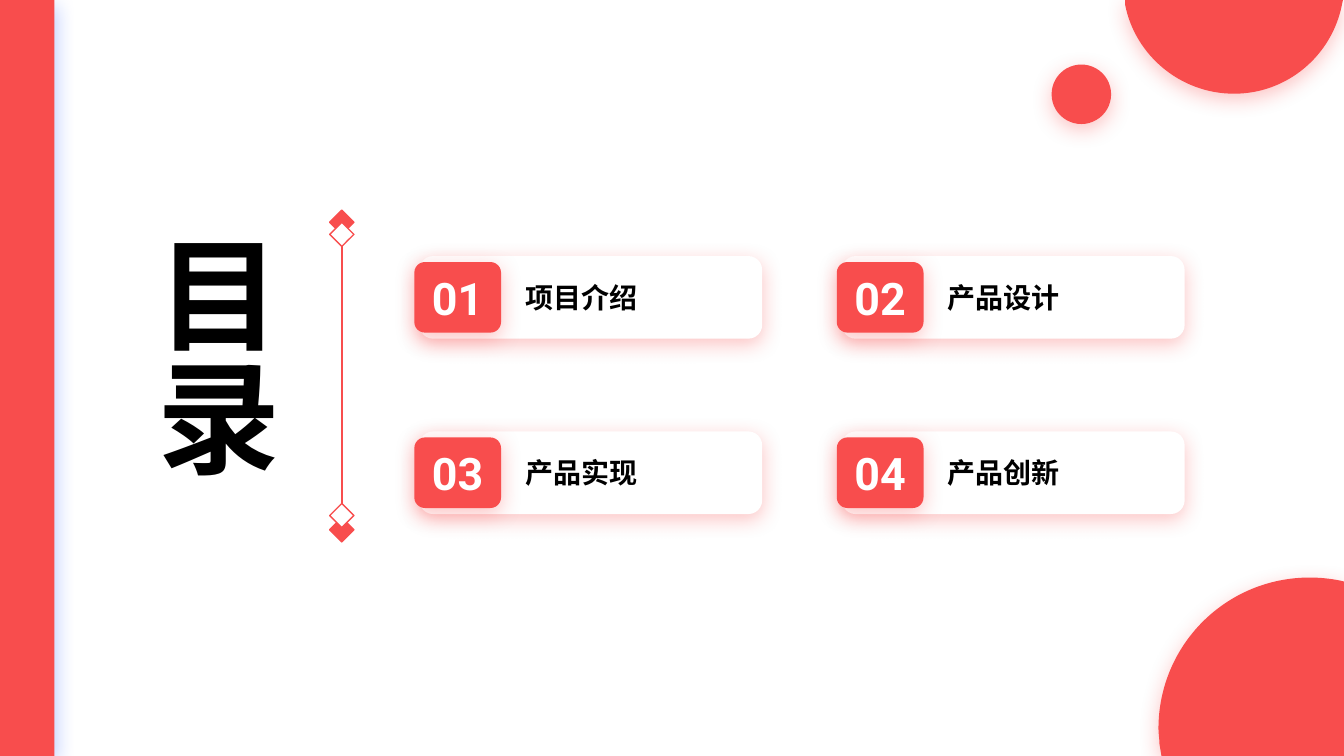
from itertools import chain

from lxml.etree import SubElement
from pptx import Presentation
from pptx.dml.color import RGBColor
from pptx.enum.shapes import MSO_CONNECTOR, MSO_SHAPE as SHAPE
from pptx.enum.text import MSO_ANCHOR as ANCHOR, MSO_AUTO_SIZE as AUTO, PP_ALIGN as ALIGN
from pptx.oxml.ns import qn
from pptx.util import Inches, Pt

CORAL = RGBColor(0xF8, 0x4D, 0x4D)
BLUE = RGBColor(0x20, 0x56, 0xFF)
WHITE = RGBColor(0xFF, 0xFF, 0xFF)
BLACK = RGBColor(0, 0, 0)
FONT = "Roboto"
WIDTH, HEIGHT = 13.33, 7.5


def paint(shape, fill=CORAL, outline=None, glow=CORAL):
    shape.fill.solid()
    shape.fill.fore_color.rgb = fill
    if outline is None:
        shape.line.fill.background()
    else:
        shape.line.color.rgb = outline
        shape.line.width = Pt(1)
    shape.shadow.inherit = False
    if glow is not None:
        effects = shape._element.spPr.find(qn("a:effectLst"))
        outer = SubElement(effects, qn("a:outerShdw"), blurRad=str(Pt(15)), dist=str(Pt(4)),
                           dir="5400000", algn="t", rotWithShape="0")
        tint = SubElement(outer, qn("a:srgbClr"), val=str(glow))
        SubElement(tint, qn("a:alpha"), val="32000")


def write(shape, text, *, size, color=BLACK, align=ALIGN.JUSTIFY, anchor=ANCHOR.TOP, vertical=False):
    frame = shape.text_frame
    frame.word_wrap = True
    frame.auto_size = AUTO.SHAPE_TO_FIT_TEXT
    frame.vertical_anchor = anchor
    if vertical:
        frame._txBody.bodyPr.set("vert", "eaVert")
    paragraph = frame.paragraphs[0]
    paragraph.alignment = align
    run = paragraph.add_run()
    run.text = text
    run.font.name = FONT
    run.font.size = Pt(size)
    run.font.bold = True
    run.font.color.rgb = color
    SubElement(run.font._element, qn("a:ea"), typeface=FONT)


deck = Presentation()
deck.slide_width, deck.slide_height = Inches(WIDTH), Inches(HEIGHT)
slide = deck.slides.add_slide(deck.slide_layouts[6])
shapes = slide.shapes

LOWER_DISC = [
    [(12.99, 5.73)],
    [(13.09, 5.73), (13.19, 5.74), (13.29, 5.76)],
    [(WIDTH, 5.77)],
    [(WIDTH, HEIGHT)],
    [(11.52, HEIGHT)],
    [(11.5, 7.38)],
    [(11.5, 7.33), (11.49, 7.28), (11.49, 7.23)],
    [(11.49, 6.4), (12.16, 5.73), (12.99, 5.73)],
]
UPPER_DISC = [
    [(11.16, 0)],
    [(13.32, 0)],
    [(13.31, 0.05)],
    [(13.21, 0.55), (12.77, 0.93), (12.24, 0.93)],
    [(11.71, 0.93), (11.26, 0.55), (11.16, 0.05)],
]
for segments in [LOWER_DISC, UPPER_DISC]:
    start, *rest = [(Inches(x), Inches(y)) for x, y in chain(*segments)]
    builder = shapes.build_freeform(*start)
    builder.add_line_segments(rest, close=True)
    disc = builder.convert_to_shape()
    steps = iter(list(disc._element.iter(qn("a:lnTo"))))
    for segment in segments[1:]:
        first, *others = [next(steps) for _ in segment]
        if others:
            first.tag = qn("a:cubicBezTo")
        for step in others:
            first.append(step[0])
            step.getparent().remove(step)
    paint(disc)

dot = shapes.add_shape(SHAPE.OVAL, Inches(10.43), Inches(0.64), Inches(0.59), Inches(0.59))
paint(dot)

title = shapes.add_textbox(Inches(1.23), Inches(2.21), Inches(1.68), Inches(3.08))
write(title, "目录", size=88, vertical=True)

GRID_LEFT, GRID_TOP, COLUMN, ROW = 4.16, 2.54, 4.19, 1.74
for index, topic in enumerate(["项目介绍", "产品设计", "产品实现", "产品创新"]):
    row, column = divmod(index, 2)
    left, top = GRID_LEFT + column * COLUMN, GRID_TOP + row * ROW

    card = shapes.add_shape(SHAPE.ROUNDED_RECTANGLE, Inches(left), Inches(top), Inches(3.4), Inches(0.82))
    paint(card, fill=WHITE)

    number = shapes.add_shape(SHAPE.ROUNDED_RECTANGLE, Inches(left - 0.05), Inches(top + 0.06),
                              Inches(0.86), Inches(0.7))
    number.adjustments[0] = 0.15
    paint(number)
    write(number, f"{index + 1:02}", size=32, color=WHITE, align=ALIGN.CENTER, anchor=ANCHOR.MIDDLE)

    label = shapes.add_textbox(Inches(left + 0.95), Inches(top + 0.19), Inches(2.33), Inches(0.44))
    write(label, topic, size=20)

side_bar = shapes.add_shape(SHAPE.RECTANGLE, 0, 0, Inches(0.54), Inches(HEIGHT))
paint(side_bar, glow=BLUE)

AXIS, DIAMOND = 3.39, 0.17
divider = shapes.add_group_shape().shapes
stem = divider.add_connector(MSO_CONNECTOR.STRAIGHT, Inches(AXIS), Inches(2.37), Inches(AXIS), Inches(5.11))
stem.line.color.rgb = CORAL
stem.line.width = Pt(1.25)
SubElement(stem._element.spPr, qn("a:effectLst"))

for top, fill in [(2.12, CORAL), (5.17, CORAL), (2.24, WHITE), (5.03, WHITE)]:
    diamond = divider.add_shape(SHAPE.RECTANGLE, Inches(AXIS - DIAMOND / 2), Inches(top),
                                Inches(DIAMOND), Inches(DIAMOND))
    diamond.rotation = 315
    paint(diamond, fill=fill, outline=CORAL, glow=None)

deck.save("out.pptx")
